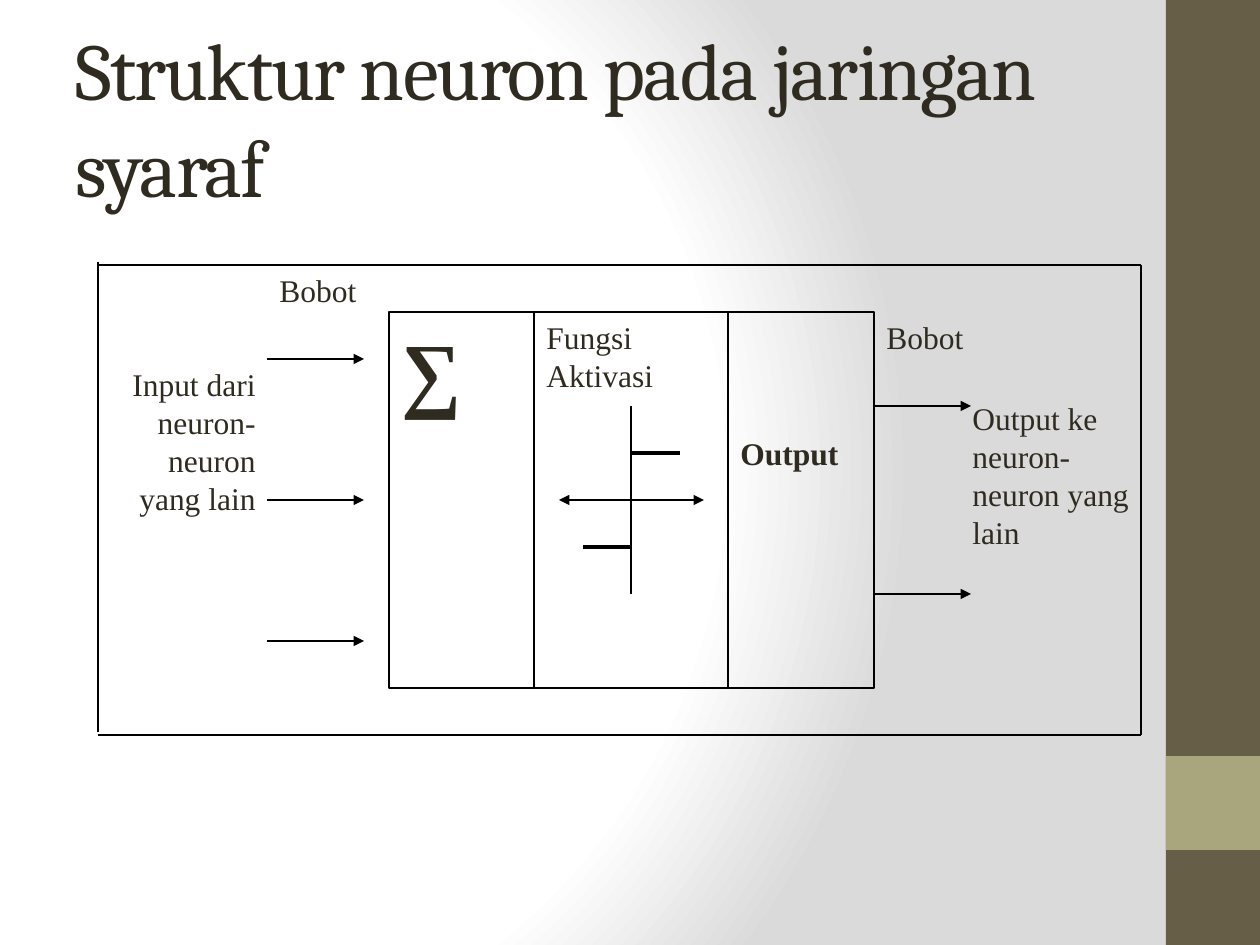
"""Build the slide that shows the structure of a neuron in a neural network."""
from lxml import etree
from pptx import Presentation
from pptx.dml.color import RGBColor
from pptx.enum.shapes import MSO_CONNECTOR as CONNECTOR, MSO_SHAPE as SHAPE
from pptx.enum.text import MSO_ANCHOR as ANCHOR, PP_ALIGN as ALIGN
from pptx.oxml import parse_xml
from pptx.oxml.ns import qn
from pptx.util import Pt

PX = 914400 / 126
WIDTH, HEIGHT = 1260, 945
INK, BLACK = "2F2B20", "000000"
BACKGROUND_STOPS = [(0, "FFFFFF"), (75, "FFFFFF"), (100, "DADADA")]
SIDEBAR = [((1166, 0, 94, 945), "675E47"), ((1166, 756, 94, 94), "A9A57C")]

BODY = {"name": "Times New Roman", "size": Pt(18), "bold": False}
BOLD = {**BODY, "bold": True}
SIGMA = {**BOLD, "size": Pt(48)}
HEADING = {**BODY, "name": "Cambria", "size": Pt(46)}

TITLE = ("Struktur neuron pada jaringan syaraf", (63, 38, 1050, 157))
LABELS = [
    ("Output ke neuron-neuron yang lain", (960, 393, 197, 249), BODY, ALIGN.LEFT),
    ("Output", (728, 428, 146, 141), BOLD, ALIGN.LEFT),
    ("Fungsi Aktivasi", (534, 312, 218, 94), BODY, ALIGN.LEFT),
    ("Bobot", (874, 312, 121, 94), BODY, ALIGN.LEFT),
    ("Bobot", (267, 265, 121, 94), BODY, ALIGN.LEFT),
    ("Input dari neuron-neuron yang lain", (98, 359, 170, 282), BODY, ALIGN.RIGHT),
]
ROW_TOP, ROW_STEP = 312, 47
CELL = (389, ROW_TOP, 485, 8 * ROW_STEP)
DIVIDERS = [534, 728]
INPUT_ROWS, INPUT_SPAN = [1, 4, 7], (267, 364)
OUTPUT_ROWS, OUTPUT_SPAN = [2, 6], (874, 971)
FRAME_LEFT, FRAME_RIGHT = 98, 1141
AXIS_X, AXIS_SPAN = 631, (559, 704)
STEPS = [(583, AXIS_X, 5), (AXIS_X, 680, 3)]


def px(*lengths):
    return [round(length * PX) for length in lengths]


def color(value):
    return RGBColor.from_string(value)


def row(index):
    return ROW_TOP + index * ROW_STEP


def add_background(slide):
    slide.background.fill.solid()
    properties = slide.background._cSld.bg.bgPr
    stops = "".join(f'<a:gs pos="{place * 1000}"><a:srgbClr val="{value}"/></a:gs>'
                    for place, value in BACKGROUND_STOPS)
    gradient = parse_xml(
        '<a:gradFill xmlns:a="http://schemas.openxmlformats.org/drawingml/2006/main" '
        f'rotWithShape="1"><a:gsLst>{stops}</a:gsLst><a:path path="circle">'
        '<a:fillToRect l="20000" t="50000" r="100000" b="50000"/></a:path></a:gradFill>')
    properties.replace(properties[0], gradient)


def write(shape, text, style, align=ALIGN.LEFT, anchor=ANCHOR.TOP):
    frame = shape.text_frame
    frame.word_wrap = True
    frame.vertical_anchor = anchor
    paragraph = frame.paragraphs[0]
    paragraph.alignment = align
    run = paragraph.add_run()
    run.text = text
    for key, value in style.items():
        setattr(run.font, key, value)
    run.font.color.rgb = color(INK)
    return run


def add_label(slide, text, box, style, align=ALIGN.LEFT, anchor=ANCHOR.TOP):
    return write(slide.shapes.add_textbox(*px(*box)), text, style, align, anchor)


def add_block(slide, box, fill=None):
    block = slide.shapes.add_shape(SHAPE.RECTANGLE, *px(*box))
    block.shadow.inherit = False
    if fill:
        block.fill.solid()
        block.fill.fore_color.rgb = color(fill)
        block.line.fill.background()
    else:
        block.fill.background()
        block.line.color.rgb = color(BLACK)
        block.line.width = Pt(0.75)
    return block


def add_line(slide, start, end, width=0.75, arrows=()):
    line = slide.shapes.add_connector(CONNECTOR.STRAIGHT, *px(*start, *end))
    line.line.color.rgb = color(BLACK)
    line.line.width = Pt(width)
    for arrow in arrows:
        etree.SubElement(line.line._get_or_add_ln(), qn(f"a:{arrow}")).set("type", "triangle")
    etree.SubElement(line._element.spPr, qn("a:effectLst"))


def add_neuron(slide):
    write(add_block(slide, CELL), "∑", SIGMA)
    for x in DIVIDERS:
        add_line(slide, (x, row(8)), (x, row(0)))
    add_line(slide, (AXIS_X, row(6)), (AXIS_X, row(2)), 1)
    add_line(slide, (AXIS_SPAN[0], row(4)), (AXIS_SPAN[1], row(4)),
             arrows=("headEnd", "tailEnd"))
    for left, right, index in STEPS:
        add_line(slide, (left, row(index)), (right, row(index)), 2.25)
    for rows, (left, right) in [(INPUT_ROWS, INPUT_SPAN), (OUTPUT_ROWS, OUTPUT_SPAN)]:
        for index in rows:
            add_line(slide, (left, row(index)), (right, row(index)), arrows=("tailEnd",))


def add_frame(slide):
    top, bottom = row(-1), row(9)
    for y in (top, bottom):
        add_line(slide, (FRAME_LEFT, y), (FRAME_RIGHT, y))
    add_line(slide, (FRAME_RIGHT, top), (FRAME_RIGHT, bottom))
    add_line(slide, (FRAME_LEFT, bottom - 3), (FRAME_LEFT, top - 3))


def main():
    deck = Presentation()
    deck.slide_width, deck.slide_height = px(WIDTH, HEIGHT)
    slide = deck.slides.add_slide(deck.slide_layouts[6])
    add_background(slide)
    for box, fill in SIDEBAR:
        add_block(slide, box, fill)
    title = add_label(slide, *TITLE, HEADING, anchor=ANCHOR.MIDDLE)
    title.font._element.set("spc", "-100")
    add_neuron(slide)
    for label in LABELS:
        add_label(slide, *label)
    add_frame(slide)
    deck.save("out.pptx")


if __name__ == "__main__":
    main()
